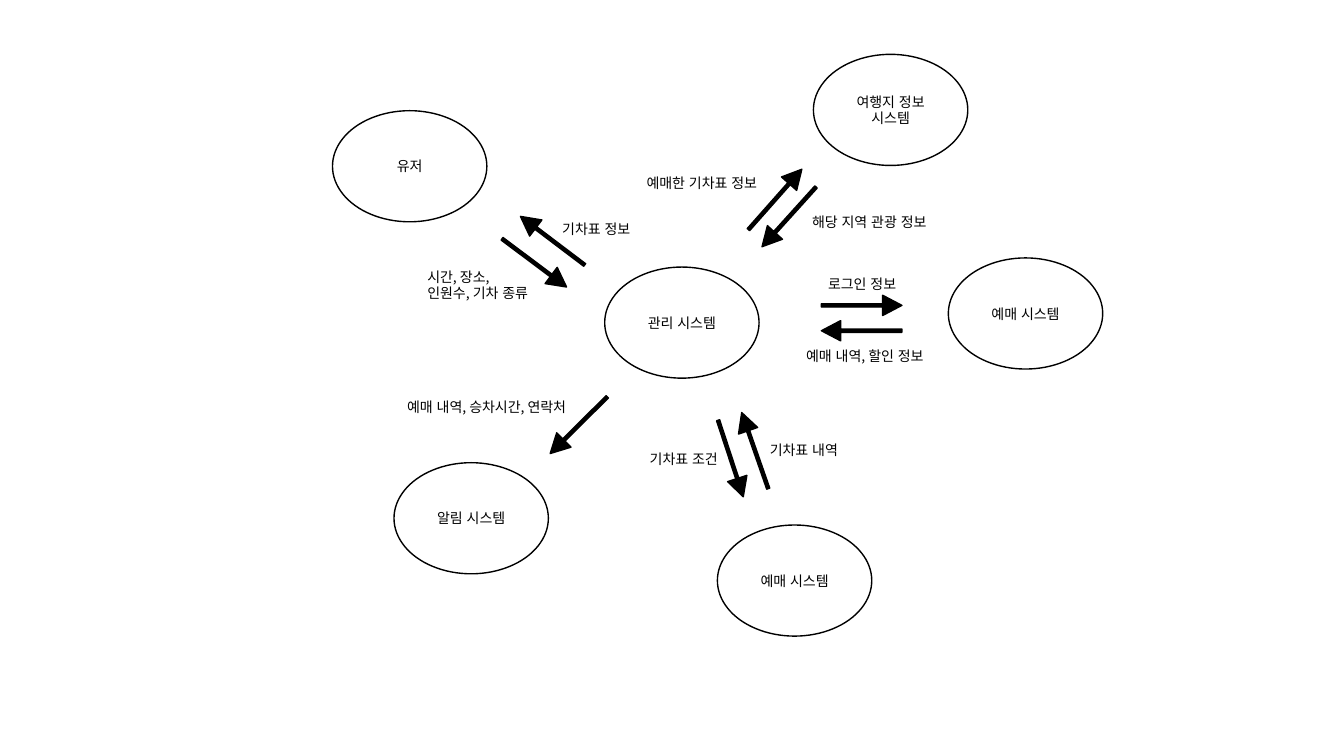
from lxml.etree import SubElement
from pptx import Presentation
from pptx.dml.color import RGBColor
from pptx.enum.lang import MSO_LANGUAGE_ID as Lang
from pptx.enum.shapes import MSO_SHAPE as Preset
from pptx.enum.text import MSO_ANCHOR as Anchor, MSO_AUTO_SIZE as AutoSize, PP_ALIGN as Align
from pptx.oxml.ns import qn
from pptx.util import Cm, Pt

COLORS = {"ink": "000000", "paper": "FFFFFF"}
FONT = "Noto Sans CJK KR"

# Systems: text, left, top (cm)
SYSTEMS = [
    ("관리 시스템", 15.24, 6.73),
    ("알림 시스템", 9.93, 11.66),
    ("유저", 8.38, 2.79),
    ("예매 시스템", 18.08, 13.23),
    ("예매 시스템", 23.9, 6.5),
    ("여행지 정보\n시스템", 20.5, 1.37),
]
SYSTEM_SIZE = (3.89, 2.8)

# Flows: left, top (cm) before turning, clockwise turn of a downward arrow
FLOWS = [
    (14.33, 9.7, 45.2),
    (13.21, 5.61, 306.8),
    (13.67, 5.05, 127.1),
    (18.16, 10.54, 341.8),
    (18.77, 10.34, 160.8),
    (21.46, 6.68, 270),
    (21.46, 7.32, 90),
    (19.28, 4.01, 221.5),
    (19.63, 4.45, 42.1),
]
FLOW_SIZE = (0.51, 2.03)
SHAFT_SHARE, HEAD_RATIO = 0.16, 0.95

# Flow data: text, left, top, width (cm), alignment
FLOW_DATA = [
    ("기차표 정보", 13.92, 5.44, 2.41, Align.LEFT),
    ("시간, 장소, \n인원수, 기차 종류", 10.52, 6.63, 3.33, Align.LEFT),
    ("예매 내역, 승차시간, 연락처", 10.01, 9.91, 4.98, Align.LEFT),
    ("기차표 내역", 19.15, 11, 2.49, Align.LEFT),
    ("기차표 조건", 15.93, 11.23, 2.41, Align.RIGHT),
    ("예매 내역, 할인 정보", 19.89, 8.64, 3.81, Align.CENTER),
    ("로그인 정보", 20.52, 6.83, 2.41, Align.CENTER),
    ("해당 지역 관광 정보", 20.04, 5.26, 3.73, Align.CENTER),
    ("예매한 기차표 정보", 15.88, 4.27, 3.61, Align.CENTER),
]
LINE_HEIGHT, PADDING = 0.43, 0.26


def rgb(name):
    """Look up a palette colour."""
    return RGBColor.from_string(COLORS[name])


def write(frame, text, align=Align.CENTER, anchor=Anchor.TOP, wrap=True, size=10, color="ink"):
    """Fill a text frame, one paragraph for each line of text."""
    frame.word_wrap = wrap
    frame.vertical_anchor = anchor
    frame.text = text
    for paragraph in frame.paragraphs:
        paragraph.alignment = align
        for run in paragraph.runs:
            run.font.size = Pt(size)
            run.font.color.rgb = rgb(color)
            run.font.name = FONT
            run.font.language_id = Lang.KOREAN
            SubElement(run.font._element, qn("a:ea"), typeface=FONT)


def add_outlined(slide, preset, left, top, size, fill):
    """Add a preset shape with a flat fill and a thin dark outline."""
    shape = slide.shapes.add_shape(preset, *map(Cm, (left, top, *size)))
    shape.shadow.inherit = False
    shape.fill.solid()
    shape.fill.fore_color.rgb = rgb(fill)
    shape.line.color.rgb = rgb("ink")
    shape.line.width = Pt(1)
    return shape


def add_system(slide, text, left, top):
    """Add one system as a labelled ellipse."""
    system = add_outlined(slide, Preset.OVAL, left, top, SYSTEM_SIZE, "paper")
    write(system.text_frame, text, anchor=Anchor.MIDDLE)


def add_flow(slide, left, top, turn):
    """Add one turned block arrow."""
    flow = add_outlined(slide, Preset.DOWN_ARROW, left, top, FLOW_SIZE, "ink")
    flow.adjustments[0] = SHAFT_SHARE
    flow.adjustments[1] = HEAD_RATIO
    flow.rotation = turn


def add_flow_data(slide, text, left, top, width, align):
    """Add the name of the data that a flow carries."""
    height = PADDING + LINE_HEIGHT * len(text.split("\n"))
    box = slide.shapes.add_textbox(*map(Cm, (left, top, width, height)))
    write(box.text_frame, text, align=align, wrap=False)
    box.text_frame.auto_size = AutoSize.SHAPE_TO_FIT_TEXT


deck = Presentation()
deck.slide_width, deck.slide_height = Cm(33.87), Cm(19.05)
slide = deck.slides.add_slide(deck.slide_layouts[6])
for add, rows in ((add_system, SYSTEMS), (add_flow, FLOWS), (add_flow_data, FLOW_DATA)):
    for row in rows:
        add(slide, *row)
deck.save("out.pptx")
